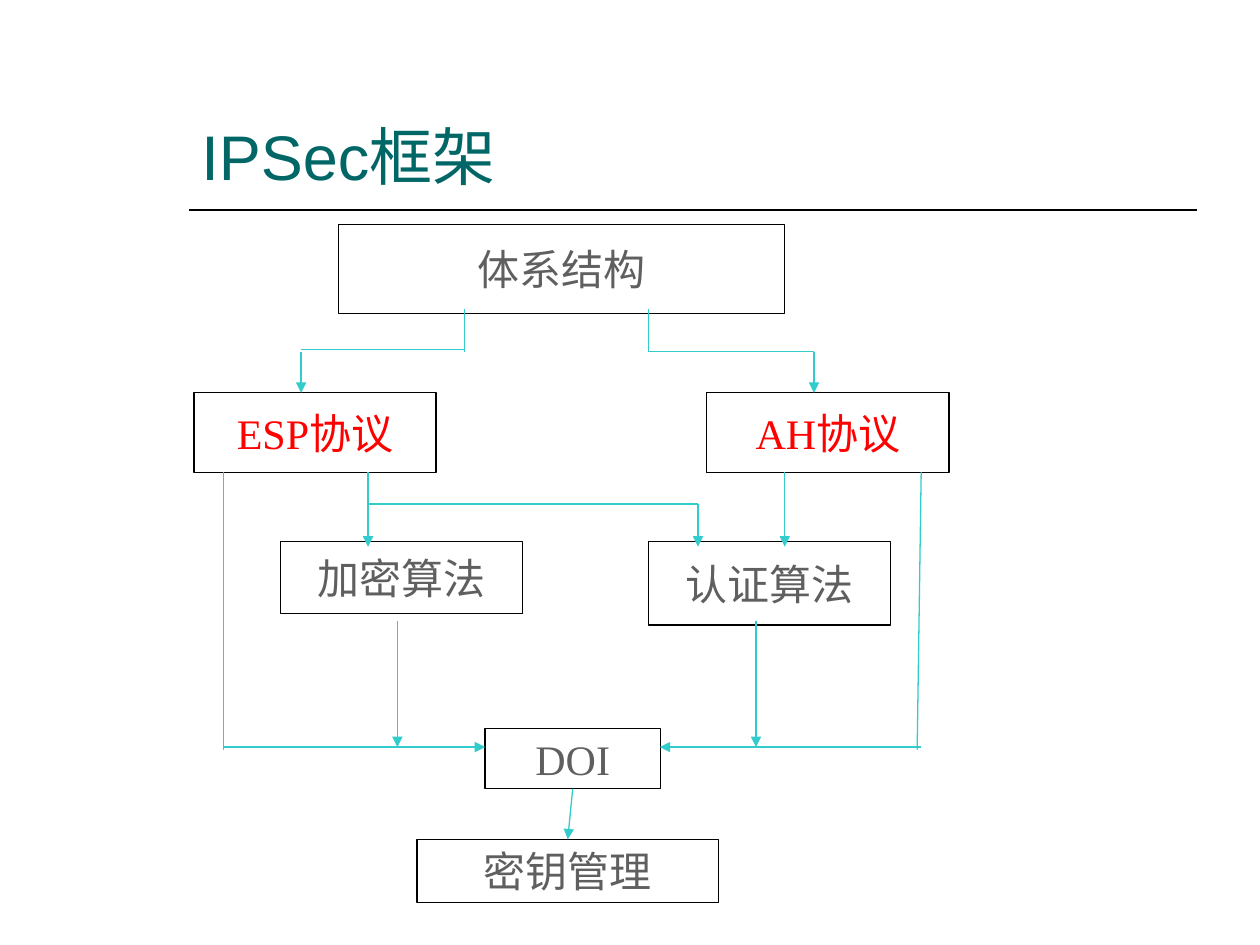
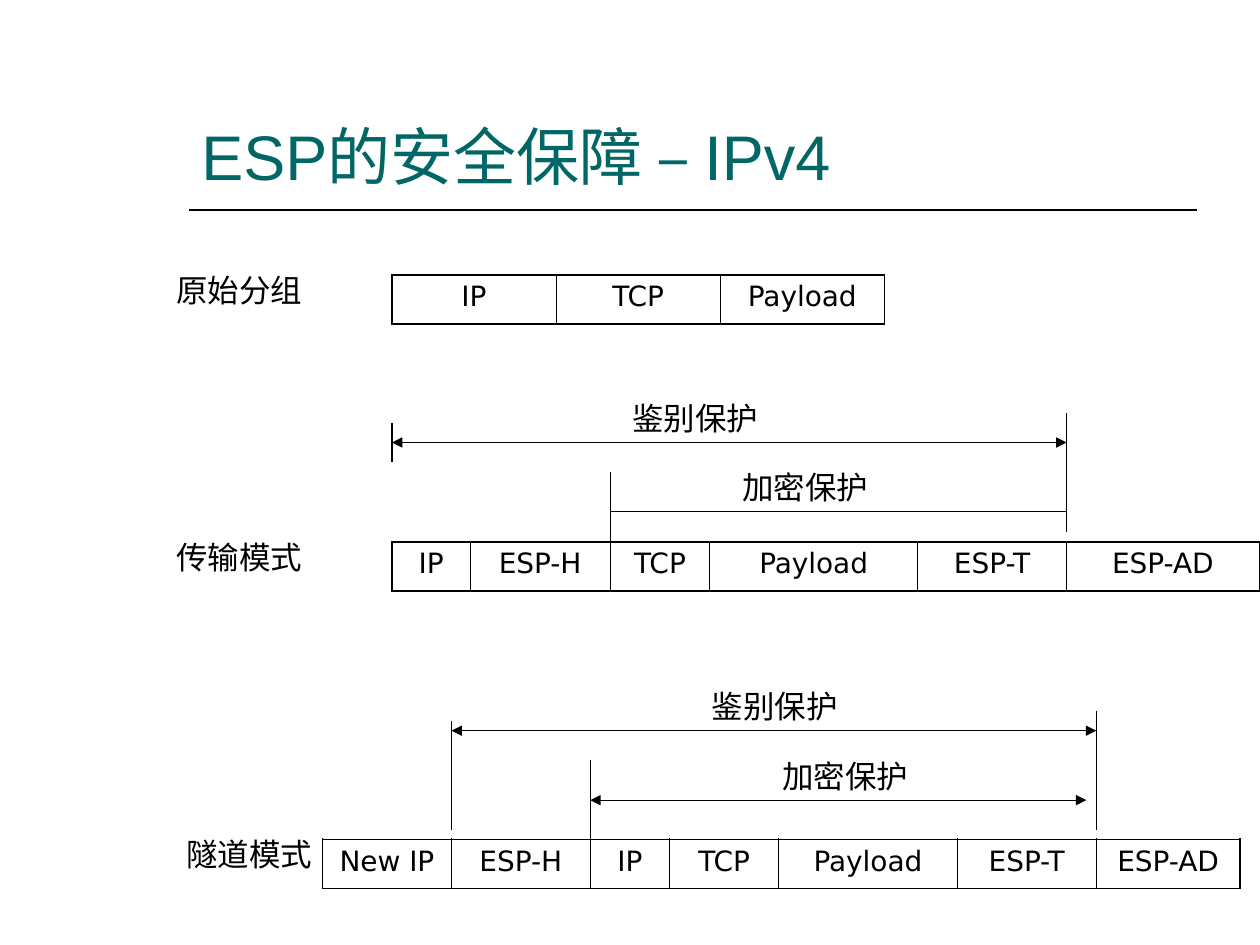
import itertools

import pptx
import pptx.dml.color
import pptx.enum.shapes
import pptx.enum.text
import pptx.oxml
import pptx.oxml.ns
import pptx.util
from pptx.util import Cm

RGBColor = pptx.dml.color.RGBColor
TEAL = RGBColor(0x00, 0x66, 0x66)
TURQUOISE = RGBColor(0x33, 0xCC, 0xCC)
RED = RGBColor(0xFF, 0x00, 0x00)
GRAY = RGBColor(0x5F, 0x5F, 0x5F)
BLACK = RGBColor(0x00, 0x00, 0x00)
WHITE = RGBColor(0xFF, 0xFF, 0xFF)

OUTER_BORDER = 1.08
INNER_BORDER = 0.45
ROW_HEIGHT = 0.99
LABEL_WIDTH = 3.2
LABEL_HEIGHT = 1.02


def set_text(text_frame, text, font_name, size, color, alignment=None):
    paragraph = text_frame.paragraphs[0]
    paragraph.text = text
    paragraph.alignment = alignment
    paragraph.font.name = font_name
    paragraph.font.size = pptx.util.Pt(size)
    paragraph.font.color.rgb = color
    return paragraph


def add_line(slide, start, end, color, width=0.75, head=False, tail=False):
    connector = slide.shapes.add_connector(
        pptx.enum.shapes.MSO_CONNECTOR.STRAIGHT,
        Cm(start[0]), Cm(start[1]), Cm(end[0]), Cm(end[1]))
    connector.line.color.rgb = color
    connector.line.width = pptx.util.Pt(width)
    line_xml = connector.line._get_or_add_ln()
    for wanted, tag in ((head, "a:headEnd"), (tail, "a:tailEnd")):
        if wanted:
            arrowhead = pptx.oxml.ns.qn(tag)
            line_xml.append(line_xml.makeelement(arrowhead, {"type": "triangle"}))
    properties = connector._element.spPr
    properties.append(properties.makeelement(pptx.oxml.ns.qn("a:effectLst"), {}))
    return connector


def add_titled_slide(presentation, title):
    slide = presentation.slides.add_slide(presentation.slide_layouts[6])
    add_line(slide, (3.81, 4.24), (24.13, 4.24), BLACK, width=1)
    box = slide.shapes.add_textbox(Cm(3.81), Cm(0.84), Cm(20.32), Cm(3.18))
    box.text_frame.word_wrap = True
    box.text_frame.vertical_anchor = pptx.enum.text.MSO_ANCHOR.BOTTOM
    set_text(box.text_frame, title, "Arial", 36, TEAL)
    return slide


def add_box(slide, text, left, top, width, height, color=GRAY):
    box = slide.shapes.add_shape(
        pptx.enum.shapes.MSO_SHAPE.RECTANGLE,
        Cm(left), Cm(top), Cm(width), Cm(height))
    box.shadow.inherit = False
    box.fill.solid()
    box.fill.fore_color.rgb = WHITE
    box.line.color.rgb = BLACK
    box.line.width = pptx.util.Pt(0.75)
    box.text_frame.word_wrap = False
    box.text_frame.vertical_anchor = pptx.enum.text.MSO_ANCHOR.MIDDLE
    set_text(box.text_frame, text, "Times New Roman", 24, color,
             pptx.enum.text.PP_ALIGN.CENTER)
    return box


def add_label(slide, text, left, top):
    box = slide.shapes.add_textbox(Cm(left), Cm(top), Cm(LABEL_WIDTH), Cm(LABEL_HEIGHT))
    box.text_frame.word_wrap = True
    paragraph = set_text(box.text_frame, text, "DejaVu Sans", 18, BLACK)
    paragraph.space_before = pptx.util.Pt(11.2)


def set_borders(cell, left, right):
    """Draw the four sides of a cell; widths are in points."""
    properties = cell._tc.get_or_add_tcPr()
    widths = {"lnL": left, "lnR": right, "lnT": OUTER_BORDER, "lnB": OUTER_BORDER}
    for tag, width in widths.items():
        properties.append(pptx.oxml.parse_xml(
            f'<a:{tag} {pptx.oxml.ns.nsdecls("a")} w="{round(width * 12700)}">'
            f'<a:solidFill><a:srgbClr val="{BLACK}"/></a:solidFill></a:{tag}>'))


def add_packet(slide, left, top, fields):
    """Draw a packet as a one-row table and return its column edges."""
    widths = [width for _, width in fields]
    table = slide.shapes.add_table(
        1, len(fields), Cm(left), Cm(top), Cm(sum(widths)), Cm(ROW_HEIGHT)).table
    table.first_row = False
    table.horz_banding = False
    last = len(fields) - 1
    for index, (name, width) in enumerate(fields):
        table.columns[index].width = Cm(width)
        cell = table.cell(0, index)
        set_borders(cell,
                    OUTER_BORDER if index == 0 else INNER_BORDER,
                    OUTER_BORDER if index == last else INNER_BORDER)
        cell.fill.background()
        paragraph = set_text(cell.text_frame, name, "DejaVu Sans", 16, BLACK,
                             pptx.enum.text.PP_ALIGN.CENTER)
        paragraph.space_before = pptx.util.Pt(4)
    return list(itertools.accumulate(widths, initial=left))


def add_range(slide, text, text_left, left, right, y,
              left_tick=None, right_tick=None, arrows=True):
    """Mark a protected range; each tick is a (top, bottom) pair."""
    for x, tick in ((left, left_tick), (right, right_tick)):
        if tick:
            add_line(slide, (x, tick[0]), (x, tick[1]), BLACK)
    add_line(slide, (left, y), (right, y), BLACK, head=arrows, tail=arrows)
    add_label(slide, text, text_left, y - 1)


def build_framework(presentation):
    slide = add_titled_slide(presentation, "IPSec框架")

    # Components
    add_box(slide, "体系结构", 6.83, 4.52, 8.99, 1.8)
    add_box(slide, "ESP协议", 3.91, 7.92, 4.88, 1.6, RED)
    add_box(slide, "AH协议", 14.25, 7.92, 4.88, 1.6, RED)
    add_box(slide, "加密算法", 5.66, 10.92, 4.88, 1.45)
    add_box(slide, "认证算法", 13.08, 10.92, 4.88, 1.68)
    doi_box = add_box(slide, "DOI", 9.78, 14.68, 3.53, 1.22)
    key_box = add_box(slide, "密钥管理", 8.41, 16.92, 6.07, 1.27)

    # Plain parts of the paths
    plain_lines = [
        ((6.07, 7.04), (9.37, 7.04)),
        ((13.08, 7.09), (16.41, 7.09)),
        ((9.37, 6.22), (9.37, 7.09)),
        ((13.08, 6.22), (13.08, 7.09)),
        ((4.5, 9.52), (4.5, 15.11)),
        ((18.57, 9.52), (18.49, 15.11)),
        ((7.42, 10.16), (14.07, 10.16)),
    ]
    for start, end in plain_lines:
        add_line(slide, start, end, TURQUOISE)

    # Parts that end in an arrowhead
    arrows = [
        ((6.07, 7.09), (6.07, 7.92)),
        ((16.41, 7.09), (16.41, 7.92)),
        ((4.5, 15.06), (9.78, 15.06)),
        ((18.57, 15.06), (13.3, 15.06)),
        ((15.82, 9.52), (15.82, 11.02)),
        ((7.42, 9.52), (7.42, 11.02)),
        ((14.07, 10.16), (14.07, 11.02)),
        ((8.01, 12.52), (8.01, 15.06)),
        ((15.24, 12.52), (15.24, 15.06)),
    ]
    for start, end in arrows:
        add_line(slide, start, end, TURQUOISE, tail=True)
    doi_to_key = add_line(slide, (11.54, 15.9), (11.45, 16.92), TURQUOISE, tail=True)
    doi_to_key.begin_connect(doi_box, 2)
    doi_to_key.end_connect(key_box, 0)


def build_esp_protection(presentation):
    slide = add_titled_slide(presentation, "ESP的安全保障 – IPv4")

    # Packet before protection
    add_label(slide, "原始分组", 3.3, 5.33)
    add_packet(slide, 7.9, 5.54, [("IP", 3.31), ("TCP", 3.31), ("Payload", 3.31)])

    # Transport mode
    add_label(slide, "传输模式", 3.3, 10.72)
    edges = add_packet(slide, 7.9, 10.92, [
        ("IP", 1.58), ("ESP-H", 2.82), ("TCP", 2.01),
        ("Payload", 4.19), ("ESP-T", 3), ("ESP-AD", 3.89)])
    add_range(slide, "鉴别保护", 12.5, edges[0], edges[5], 8.92,
              left_tick=(8.53, 9.32), right_tick=(8.33, 10.72))
    add_range(slide, "加密保护", 14.71, edges[2], edges[5], 10.31,
              left_tick=(9.52, 10.92), arrows=False)

    # Tunnel mode
    add_label(slide, "隧道模式", 3.51, 16.71)
    edges = add_packet(slide, 6.5, 16.92, [
        ("New IP", 2.6), ("ESP-H", 2.8), ("IP", 1.6), ("TCP", 2.2),
        ("Payload", 3.6), ("ESP-T", 2.8), ("ESP-AD", 2.9)])
    add_range(slide, "鉴别保护", 14.1, edges[1], edges[6], 14.73,
              left_tick=(14.53, 16.74), right_tick=(14.33, 16.74))
    add_range(slide, "加密保护", 15.52, edges[2], edges[6] - 0.2, 16.13,
              left_tick=(15.32, 16.92))


def main():
    presentation = pptx.Presentation()
    presentation.slide_width = Cm(25.4)
    presentation.slide_height = Cm(19.05)
    build_framework(presentation)
    build_esp_protection(presentation)
    presentation.save("out.pptx")


if __name__ == "__main__":
    main()
